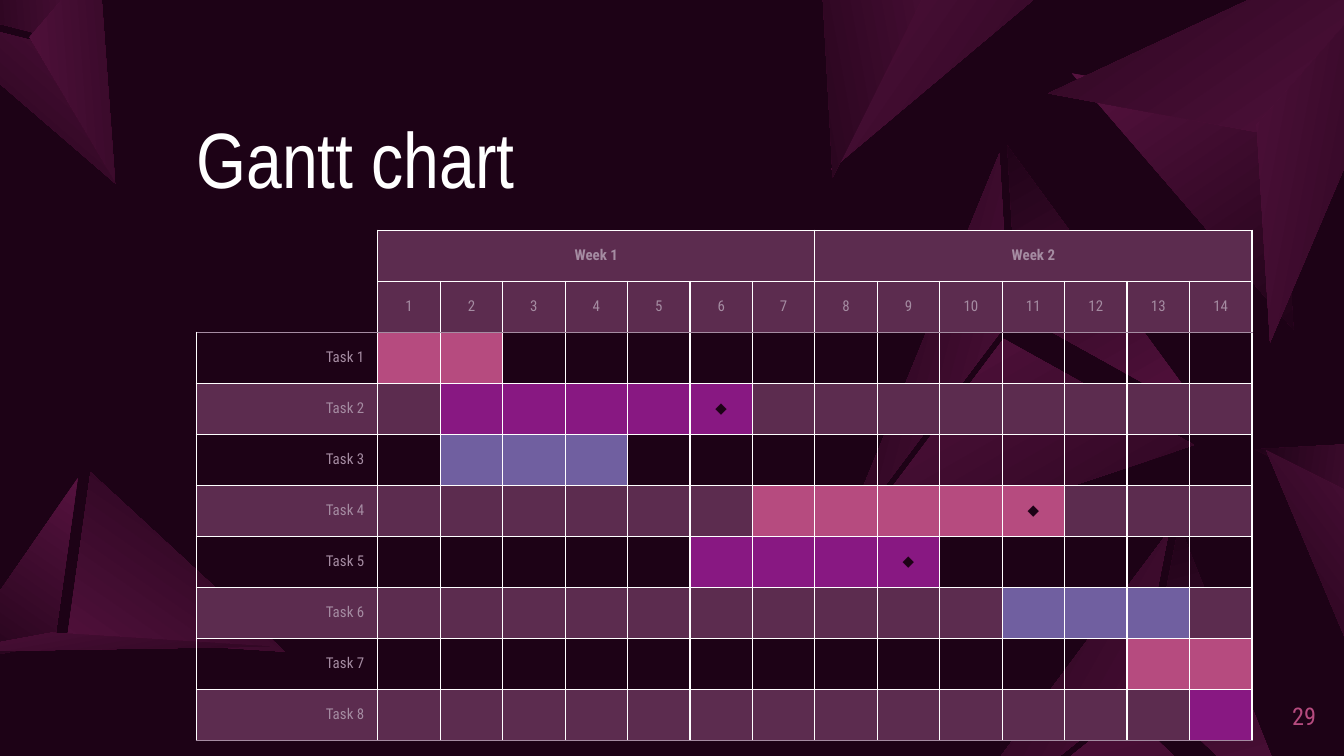
from dataclasses import dataclass
from math import cos, radians, sin

from lxml import etree
from pptx import Presentation
from pptx.dml.color import RGBColor
from pptx.enum.text import MSO_ANCHOR, PP_ALIGN
from pptx.oxml.ns import qn
from pptx.util import Cm, Pt

LEFT, CENTER, RIGHT = PP_ALIGN.LEFT, PP_ALIGN.CENTER, PP_ALIGN.RIGHT
MIDDLE, BOTTOM = MSO_ANCHOR.MIDDLE, MSO_ANCHOR.BOTTOM


@dataclass(frozen=True)
class Theme:
    back: str = "1D0216"
    glow: str = "591341"
    band: str = "5C2C4F"
    muted: str = "A58CA2"
    white: str = "FFFFFF"
    pink: str = "B64B7F"
    purple: str = "881882"
    blue: str = "705FA0"
    title_font: str = "Arial Narrow"
    body_font: str = "Roboto Condensed"
    title_size: float = 42
    number_size: float = 13
    table_size: float = 8
    border: float = 0.75


T = Theme()
WIDTH, HEIGHT = 25.4, 14.29
LABEL_W, DAY_W, ROW_H = 3.43, 1.18, 0.964
DAYS, WEEK, HEAD_ROWS = 14, 7, 2

# Name, first day, last day, bar colour, milestone day
TASKS = [
    ("Task 1", 1, 2, T.pink, None),
    ("Task 2", 2, 6, T.purple, 6),
    ("Task 3", 2, 4, T.blue, None),
    ("Task 4", 7, 11, T.pink, 11),
    ("Task 5", 6, 9, T.purple, 9),
    ("Task 6", 11, 13, T.blue, None),
    ("Task 7", 13, 14, T.pink, None),
    ("Task 8", 14, 14, T.purple, None),
]

# Turn in degrees, then three outer corners and the inner ridge point, in cm
CRYSTALS = [
    (100.5, (24.51, 6.35), (20.19, 1.27), (27.31, -1.85), (24, 2.46)),
    (169.6, (-0.84, 12.78), (1.37, 8.79), (5.08, 12.57), (1.52, 11.51)),
    (285.1, (18.97, 2.62), (22.89, 8.05), (15.54, 10.59), (19.18, 6.53)),
    (299.6, (22.25, 9.78), (24.69, 16), (16.94, 16.64), (21.46, 13.61)),
    (233.2, (23.8, 8.33), (27.25, 8.46), (25.96, 12.27), (25.45, 9.5)),
    (259.7, (15.77, -5.08), (21.62, -1.88), (16.06, 3.58), (17.6, -1.64)),
    (220.8, (-1.04, 0), (2.34, -0.61), (1.88, 3.38), (0.81, 0.79)),
]


def rgb(color):
    return RGBColor.from_string(color)


def put(tf, text, font=T.body_font, size=T.table_size, color=T.muted,
        bold=False, align=CENTER, spacing=None):
    p = tf.paragraphs[0]
    p.alignment = align
    if spacing:
        p.line_spacing = spacing
    r = p.add_run()
    r.text = text
    r.font.name, r.font.size, r.font.bold = font, Pt(size), bold
    r.font.color.rgb = rgb(color)


def add_text(s, box, text, anchor, **fmt):
    tf = s.shapes.add_textbox(*map(Cm, box)).text_frame
    tf.word_wrap = True
    tf.vertical_anchor = anchor
    tf.margin_left = tf.margin_top = tf.margin_right = tf.margin_bottom = 0
    put(tf, text, **fmt)


def turn(point, degrees):
    x, y = point
    a = radians(degrees)
    return x * cos(a) - y * sin(a), x * sin(a) + y * cos(a)


def on_slide(points):
    xs, ys = zip(*points)
    return min(xs) < WIDTH and max(xs) > 0 and min(ys) < HEIGHT and max(ys) > 0


def add_facet(s, points, rotation, angle):
    """Draw a triangle whose gradient turns with it."""
    local = [turn(p, -rotation) for p in points]
    builder = s.shapes.build_freeform(*local[0], scale=Cm(1))
    builder.add_line_segments(local[1:], close=True)
    sp = builder.convert_to_shape()
    xs, ys = zip(*local)
    cx, cy = turn(((min(xs) + max(xs)) / 2, (min(ys) + max(ys)) / 2), rotation)
    sp.left = Cm(cx) - sp.width // 2
    sp.top = Cm(cy) - sp.height // 2
    sp.rotation = rotation
    sp.shadow.inherit = False
    sp.line.fill.background()
    sp.fill.gradient()
    sp.fill.gradient_angle = 360 - angle
    for stop, color in zip(sp.fill.gradient_stops, (T.glow, T.back)):
        stop.color.rgb = rgb(color)


def add_crystal(s, rotation, a, b, c, ridge):
    for points, angle in (((a, b, ridge), 315), ((b, c, ridge), 135),
                          ((a, ridge, c), 270)):
        if on_slide(points):
            add_facet(s, points, rotation, angle)


def set_borders(cell, **colors):
    """Set the sides L, R, T and B; None means no line."""
    tc_pr = cell._tc.get_or_add_tcPr()
    for side in "LRTB":
        ln = etree.SubElement(tc_pr, qn(f"a:ln{side}"), w=str(Pt(T.border)))
        color = colors.get(side, T.white)
        if color:
            fill = etree.SubElement(ln, qn("a:solidFill"))
            etree.SubElement(fill, qn("a:srgbClr"), val=color)
        else:
            etree.SubElement(ln, qn("a:noFill"))


def style_cell(cell, fill, **borders):
    set_borders(cell, **borders)
    cell.vertical_anchor = MIDDLE
    cell.margin_top = cell.margin_bottom = Cm(0.05)
    if fill:
        cell.fill.solid()
        cell.fill.fore_color.rgb = rgb(fill)
    else:
        cell.fill.background()


def add_head(table):
    style_cell(table.cell(0, 0), None, L=None, T=None, B=None)
    style_cell(table.cell(1, 0), None, L=None, T=None, B=T.muted)
    for day in range(1, DAYS + 1):
        style_cell(table.cell(0, day), T.band)
        style_cell(table.cell(1, day), T.band, B=T.muted)
        put(table.cell(1, day).text_frame, str(day))
    for week, first in enumerate(range(1, DAYS, WEEK), 1):
        table.cell(0, first).merge(table.cell(0, first + WEEK - 1))
        put(table.cell(0, first).text_frame, f"Week {week}", bold=True)


def add_tasks(table):
    for i, (name, first, last, color, milestone) in enumerate(TASKS):
        row = HEAD_ROWS + i
        band = T.band if i % 2 else None
        edges = {"T": T.muted if i == 0 else T.white,
                 "B": T.muted if i == len(TASKS) - 1 else T.white}
        for day in range(DAYS + 1):
            fill = color if first <= day <= last else band
            style_cell(table.cell(row, day), fill, **edges)
        put(table.cell(row, 0).text_frame, name, align=RIGHT)
        if milestone:
            put(table.cell(row, milestone).text_frame, "◆", color=T.back)


def add_gantt(s, left, top):
    rows = HEAD_ROWS + len(TASKS)
    table = s.shapes.add_table(rows, DAYS + 1, Cm(left), Cm(top),
                               Cm(LABEL_W + DAYS * DAY_W), Cm(rows * ROW_H)).table
    table.first_row = table.horz_banding = False
    for i, col in enumerate(table.columns):
        col.width = Cm(DAY_W if i else LABEL_W)
    for row in table.rows:
        row.height = Cm(ROW_H)
    add_head(table)
    add_tasks(table)


def main():
    prs = Presentation()
    prs.slide_width, prs.slide_height = Cm(WIDTH), Cm(HEIGHT)
    s = prs.slides.add_slide(prs.slide_layouts[6])
    s.background.fill.solid()
    s.background.fill.fore_color.rgb = rgb(T.back)
    for crystal in CRYSTALS:
        add_crystal(s, *crystal)
    add_text(s, (3.71, 2.24, 17.98, 1.65), "Gantt chart", BOTTOM, font=T.title_font,
             size=T.title_size, color=T.white, align=LEFT, spacing=0.9)
    add_text(s, (23.75, 12.98, 1.12, 1.09), "29", MIDDLE,
             size=T.number_size, color=T.pink, align=RIGHT)
    add_gantt(s, 3.71, 4.35)
    prs.save("out.pptx")


if __name__ == "__main__":
    main()
